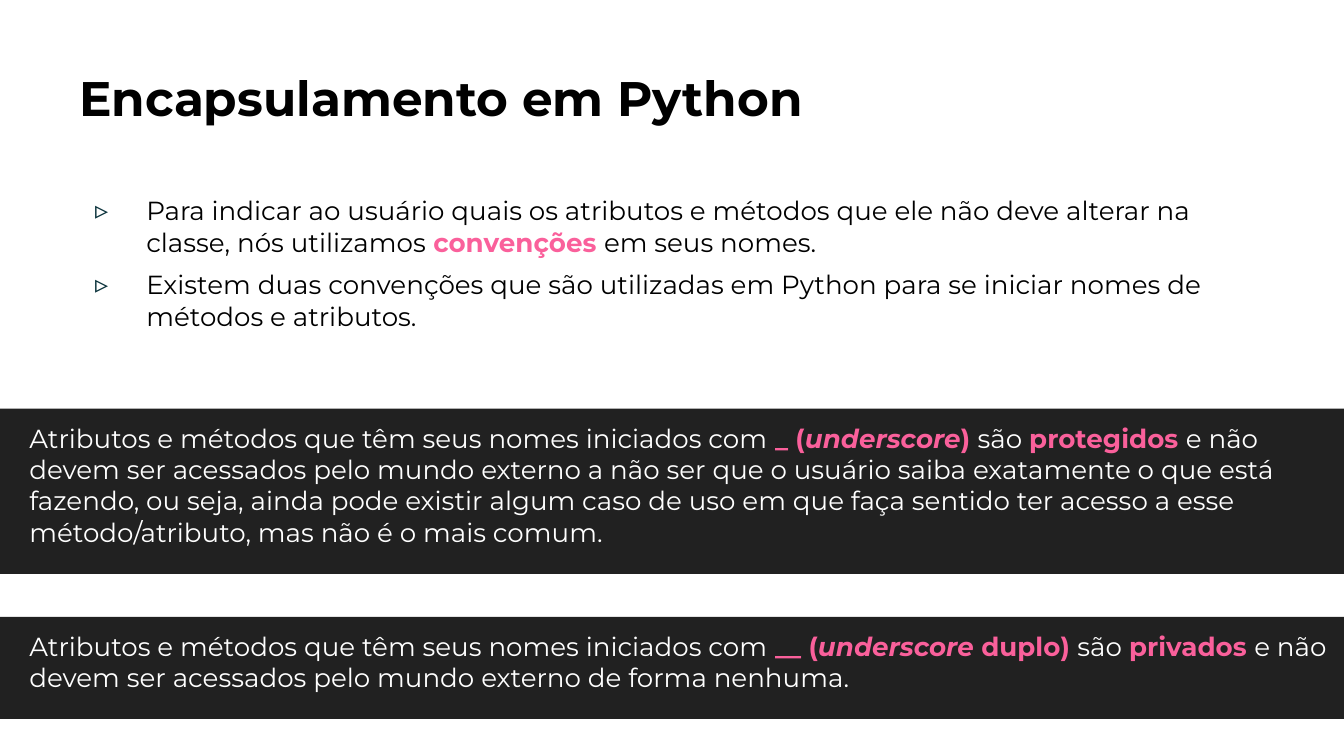
from lxml import etree
from pptx import Presentation
from pptx.dml.color import RGBColor
from pptx.enum.shapes import MSO_SHAPE
from pptx.enum.text import MSO_ANCHOR, PP_ALIGN
from pptx.oxml.ns import qn
from pptx.util import Inches, Pt

RECT = MSO_SHAPE.RECTANGLE
TOP = MSO_ANCHOR.TOP
LEFT = PP_ALIGN.LEFT

BLACK = RGBColor(0x00, 0x00, 0x00)
WHITE = RGBColor(0xFF, 0xFF, 0xFF)
DARK = RGBColor(0x21, 0x21, 0x21)
PINK = RGBColor(0xFA, 0x60, 0x9B)
TEAL = RGBColor(0x0C, 0x34, 0x3D)

FONT = "Montserrat"
PLAIN = {}
STRONG = {"bold": True, "color": PINK}
TERM = {**STRONG, "italic": True}

BULLETS = [
    [
        ("Para indicar ao usuário quais os atributos e métodos que ele não deve "
         "alterar na classe, nós utilizamos ", PLAIN),
        ("convenções ", STRONG),
        ("em seus nomes.", PLAIN),
    ],
    [
        ("Existem duas convenções que são utilizadas em Python para se iniciar "
         "nomes de métodos e atributos.", PLAIN),
    ],
]
BANDS = [
    (3.04, 1.23, "_ (", "underscore", ") ", "protegidos ",
     "e não devem ser acessados pelo mundo externo a não ser que o usuário saiba "
     "exatamente o que está fazendo, ou seja, ainda pode existir algum caso de uso "
     "em que faça sentido ter acesso a esse método/atributo, mas não é o mais comum."),
    (4.59, 0.76, "__ (", "underscore ", "duplo) ", "privados ",
     "e não devem ser acessados pelo mundo externo de forma nenhuma."),
]


def set_frame(tf):
    """Give a text frame its margins, wrapping and anchor."""
    margin = Inches(0.1)
    frame = {"word_wrap": True, "vertical_anchor": TOP, "margin_left": margin,
             "margin_right": margin, "margin_top": margin, "margin_bottom": margin}
    for name, value in frame.items():
        setattr(tf, name, value)


def set_indent(p, left, first=0):
    """Set the left margin and first-line indent of a paragraph."""
    pPr = p._p.get_or_add_pPr()
    pPr.set("marL", str(Inches(left)))
    pPr.set("indent", str(Inches(first)))


def add_bullet(p, char, color):
    """Give a paragraph a coloured bullet character."""
    pPr = p._p.get_or_add_pPr()
    clr = etree.SubElement(pPr, qn("a:buClr"))
    etree.SubElement(clr, qn("a:srgbClr"), val=str(color))
    etree.SubElement(pPr, qn("a:buFont"), typeface=FONT)
    etree.SubElement(pPr, qn("a:buChar"), char=char)


def add_runs(p, runs, size, color):
    """Add formatted runs to a left-aligned paragraph."""
    p.alignment = LEFT
    for text, style in runs:
        r = p.add_run()
        r.text = text
        look = {"name": FONT, "size": Pt(size), "bold": False, "italic": False,
                "color": color, **style}
        r.font.color.rgb = look.pop("color")
        for name, value in look.items():
            setattr(r.font, name, value)


def add_text_box(s, left, top, width, height):
    """Add an empty text box and return its text frame."""
    sp = s.shapes.add_textbox(Inches(left), Inches(top), Inches(width), Inches(height))
    set_frame(sp.text_frame)
    return sp.text_frame


def add_title(s, text):
    """Add the slide heading."""
    tf = add_text_box(s, 0.49, 0.41, 7.83, 0.64)
    add_runs(tf.paragraphs[0], [(text, {"bold": True})], 26, BLACK)


def add_bullets(s, items):
    """Add the bulleted introduction."""
    tf = add_text_box(s, 0.49, 1.35, 9.02, 1.63)
    for i, runs in enumerate(items):
        p = tf.add_paragraph() if i else tf.paragraphs[0]
        set_indent(p, 0.5, -0.38)
        add_bullet(p, "▹", TEAL)
        p.space_before = Pt(6 if i else 0)
        add_runs(p, runs, 14, BLACK)


def add_band(s, top, height, prefix, term, suffix, access, rule):
    """Add a full-width dark band that explains one naming convention."""
    sp = s.shapes.add_shape(RECT, 0, Inches(top), Inches(10), Inches(height))
    sp.shadow.inherit = False
    sp.fill.solid()
    sp.fill.fore_color.rgb = DARK
    sp.line.fill.background()
    set_frame(sp.text_frame)
    p = sp.text_frame.paragraphs[0]
    set_indent(p, 0.12)
    runs = [
        ("Atributos e métodos que têm seus nomes iniciados com ", PLAIN),
        (prefix, STRONG),
        (term, TERM),
        (suffix, STRONG),
        ("são ", PLAIN),
        (access, STRONG),
        (rule, PLAIN),
    ]
    add_runs(p, runs, 14, WHITE)


def main():
    """Build the slide and save it."""
    prs = Presentation()
    prs.slide_width = Inches(10)
    prs.slide_height = prs.slide_width * 9 // 16
    s = prs.slides.add_slide(prs.slide_layouts[6])
    add_title(s, "Encapsulamento em Python")
    add_bullets(s, BULLETS)
    for band in BANDS:
        add_band(s, *band)
    prs.save("out.pptx")


if __name__ == "__main__":
    main()
